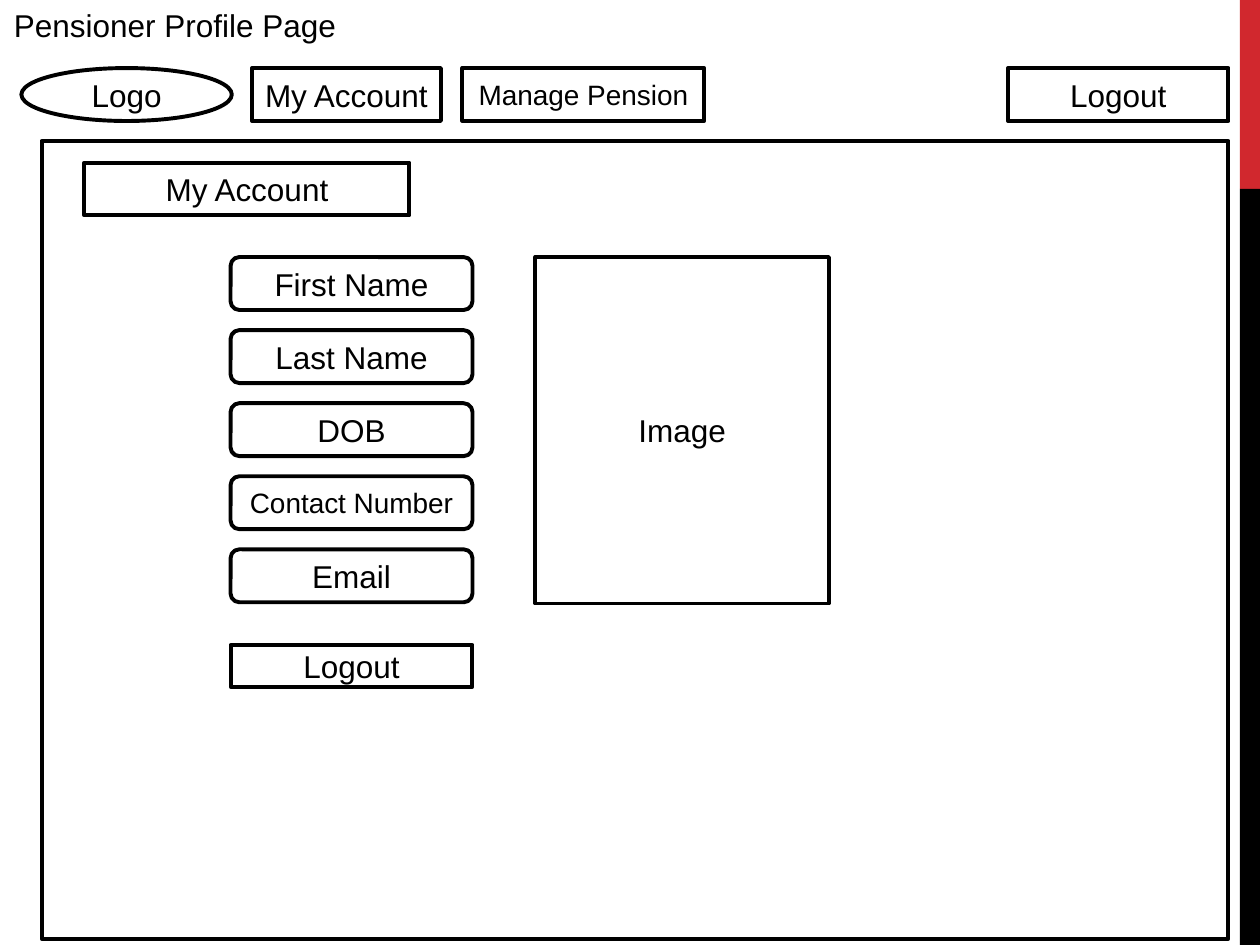
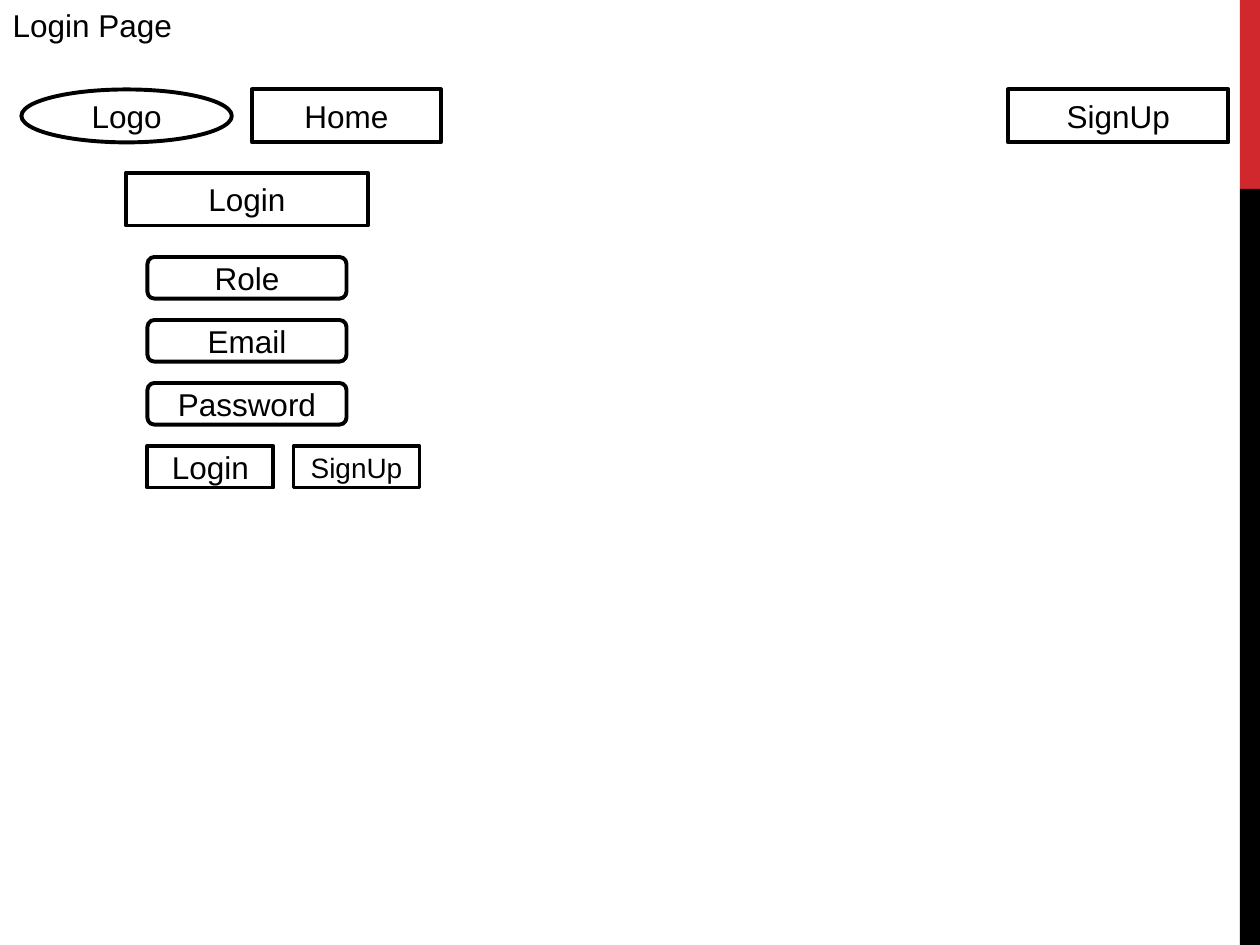
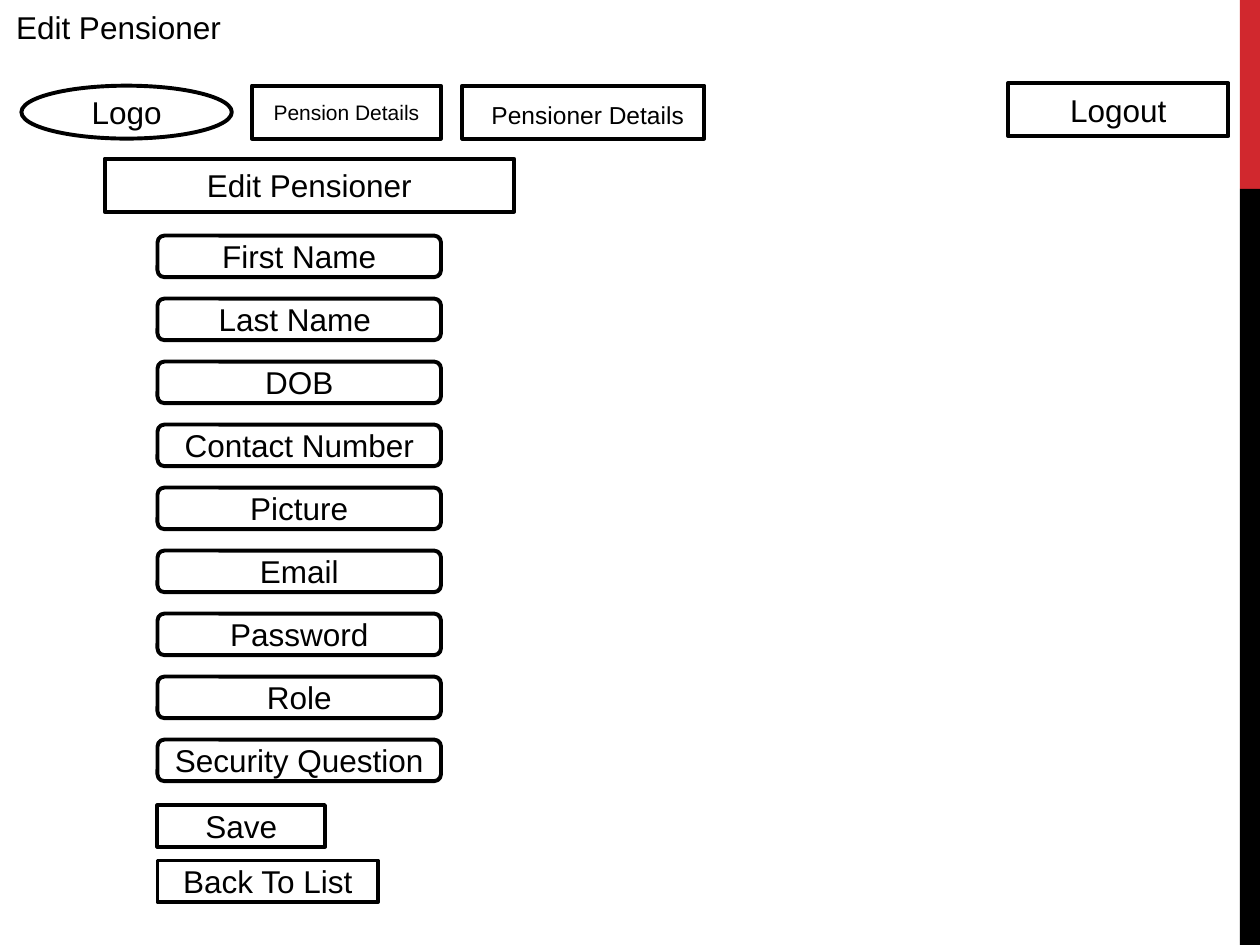
"""Build three wireframe slides for a pension administration site."""
from dataclasses import dataclass

from pptx import Presentation
from pptx.dml.color import RGBColor
from pptx.enum.shapes import MSO_SHAPE
from pptx.enum.text import MSO_ANCHOR, MSO_AUTO_SIZE, PP_ALIGN
from pptx.util import Inches, Pt


@dataclass(frozen=True)
class Theme:
    font: str = "Arial"
    ink: RGBColor = RGBColor(0x00, 0x00, 0x00)
    paper: RGBColor = RGBColor(0xFF, 0xFF, 0xFF)
    accent: RGBColor = RGBColor(0xD1, 0x28, 0x2E)
    outline: float = 2.25
    regular: int = 18
    medium: int = 16
    small: int = 14
    tiny: int = 12


class Wireframe:
    def __init__(self, theme):
        self.theme = theme
        self.presentation = Presentation()
        self.presentation.slide_width = Inches(10)
        self.presentation.slide_height = Inches(7.5)
        self.slide = None

    def add_page(self, title, left, top, width, align=PP_ALIGN.LEFT):
        layout = self.presentation.slide_layouts.get_by_name("Title Only")
        self.slide = self.presentation.slides.add_slide(layout)
        if len(self.presentation.slides) == 1:
            self.add_master_bands()
        shape = self.slide.shapes.title
        shape.left, shape.top = Inches(left), Inches(top)
        shape.width, shape.height = Inches(width), Inches(0.4)
        frame = shape.text_frame
        frame.word_wrap = False
        frame.auto_size = MSO_AUTO_SIZE.SHAPE_TO_FIT_TEXT
        frame.vertical_anchor = MSO_ANCHOR.TOP
        self.add_runs(frame, [(title, self.theme.regular)], align)

    def add_master_bands(self):
        master = self.presentation.slide_master.shapes
        next_id = max(shape.shape_id for shape in master) + 1
        bands = [(0, 1.5, self.theme.accent), (1.5, 6, self.theme.ink)]
        for offset, (top, height, color) in enumerate(bands):
            band = self.add_shape(MSO_SHAPE.RECTANGLE, 9.84, top, 0.16, height, color)
            band.line.fill.background()
            band.element.nvSpPr.cNvPr.set("id", str(next_id + offset))
            master.element.append(band.element)

    def add_shape(self, kind, left, top, width, height, color):
        shape = self.slide.shapes.add_shape(
            kind, Inches(left), Inches(top), Inches(width), Inches(height))
        shape.shadow.inherit = False
        shape.fill.solid()
        shape.fill.fore_color.rgb = color
        return shape

    def add_runs(self, frame, runs, align=PP_ALIGN.CENTER):
        paragraph = frame.paragraphs[0]
        paragraph.alignment = align
        for text, size in runs:
            run = paragraph.add_run()
            run.text = text
            run.font.name = self.theme.font
            run.font.size = Pt(size)
            run.font.color.rgb = self.theme.ink

    def add_box(self, runs, left, top, width, height=0.42, kind=MSO_SHAPE.RECTANGLE):
        shape = self.add_shape(kind, left, top, width, height, self.theme.paper)
        shape.line.color.rgb = self.theme.ink
        shape.line.width = Pt(self.theme.outline)
        shape.text_frame.word_wrap = True
        shape.text_frame.vertical_anchor = MSO_ANCHOR.MIDDLE
        if isinstance(runs, str):
            runs = [(runs, self.theme.regular)]
        self.add_runs(shape.text_frame, runs)

    def add_navigation(self, top, links, action, action_top=None):
        self.add_box("Logo", 0.17, top, 1.67, kind=MSO_SHAPE.OVAL)
        for link, (left, width) in zip(links, [(2, 1.5), (3.67, 1.92)]):
            self.add_box(link, left, top, width)
        self.add_box(action, 8, action_top or top, 1.75)

    def add_fields(self, labels, left, top, width, height, pitch):
        for index, label in enumerate(labels):
            self.add_box(label, left, top + index * pitch, width, height,
                         MSO_SHAPE.ROUNDED_RECTANGLE)


def add_profile_page(wireframe):
    medium = wireframe.theme.medium
    wireframe.add_page("Pensioner Profile Page", 0.01, 0, 2.78)
    wireframe.add_navigation(
        0.54, ["My Account", [("Manage Pension", medium)]], "Logout")
    wireframe.add_box([], 0.33, 1.12, 9.42, 6.33)
    wireframe.add_box("My Account", 0.67, 1.29, 2.58)
    labels = ["First Name", "Last Name", "DOB", [("Contact Number", medium)], "Email"]
    wireframe.add_fields(labels, 1.83, 2.04, 1.92, 0.42, 0.58)
    wireframe.add_box("Image", 4.25, 2.04, 2.33, 2.75)
    wireframe.add_box("Logout", 1.83, 5.12, 1.92, 0.33)


def add_login_page(wireframe):
    wireframe.add_page("Login Page", 0, 0, 1.48)
    wireframe.add_navigation(0.71, ["Home"], "SignUp")
    wireframe.add_box("Login", 1, 1.37, 1.92)
    wireframe.add_fields(["Role", "Email", "Password"], 1.17, 2.04, 1.58, 0.33, 0.5)
    wireframe.add_box("Login", 1.17, 3.54, 1, 0.33)
    wireframe.add_box([("SignUp", wireframe.theme.medium)], 2.33, 3.54, 1, 0.33)


def add_edit_page(wireframe):
    theme = wireframe.theme
    wireframe.add_page("Edit Pensioner", 0.02, 0.01, 1.84, PP_ALIGN.CENTER)
    links = [[("Pension Details", theme.tiny)],
             [(" ", theme.regular), ("Pensioner Details", theme.small)]]
    wireframe.add_navigation(0.68, links, "Logout", action_top=0.66)
    wireframe.add_box("Edit Pensioner", 0.83, 1.26, 3.25)
    labels = ["First Name", "Last Name ", "DOB", "Contact Number", "Picture",
              "Email", "Password", "Role", "Security Question"]
    wireframe.add_fields(labels, 1.25, 1.87, 2.25, 0.33, 0.5)
    wireframe.add_box("Save", 1.25, 6.39, 1.33, 0.33)
    wireframe.add_box("Back To List", 1.25, 6.83, 1.75, 0.33)


def main():
    wireframe = Wireframe(Theme())
    add_profile_page(wireframe)
    add_login_page(wireframe)
    add_edit_page(wireframe)
    wireframe.presentation.save("out.pptx")


if __name__ == "__main__":
    main()
